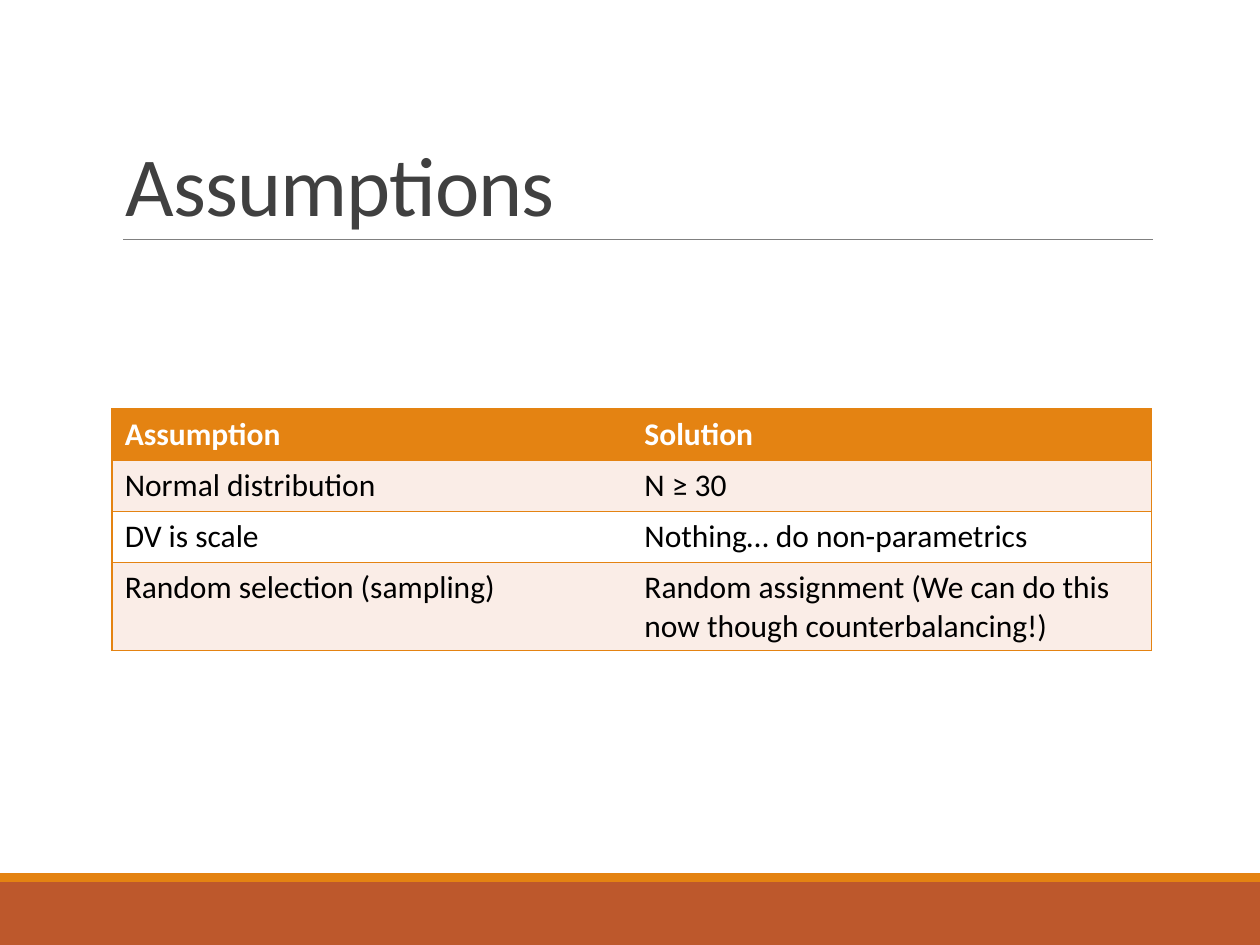
from lxml.etree import SubElement
from pptx import Presentation
from pptx.dml.color import RGBColor
from pptx.enum.shapes import MSO_CONNECTOR, MSO_SHAPE
from pptx.enum.text import MSO_ANCHOR
from pptx.oxml.ns import qn
from pptx.util import Pt

FONT = "Calibri"
COLORS = {
    "rust": "BD582C", "orange": "E48312", "rule": "808080", "title": "404040",
    "white": "FFFFFF", "black": "000000", "band": "FAEDE7",
}
ROWS = [
    ("Assumption", "Solution"),
    ("Normal distribution", "N ≥ 30"),
    ("DV is scale", "Nothing… do non-parametrics"),
    ("Random selection (sampling)",
     "Random assignment (We can do this now though counterbalancing!)"),
]


def color(name):
    return RGBColor.from_string(COLORS[name])


def style(para, size, name, bold=False):
    font = para.font
    font.name, font.size, font.bold = FONT, Pt(size), bold
    font.color.rgb = color(name)


def add_bar(slide, top, height, name):
    bar = slide.shapes.add_shape(
        MSO_SHAPE.RECTANGLE, 0, Pt(top), Pt(720), Pt(height))
    bar.shadow.inherit = False
    bar.fill.solid()
    bar.fill.fore_color.rgb = color(name)
    bar.line.fill.background()


def add_rule(slide, left, right, top):
    rule = slide.shapes.add_connector(
        MSO_CONNECTOR.STRAIGHT, Pt(left), Pt(top), Pt(right), Pt(top))
    rule.line.color.rgb = color("rule")
    rule.line.width = Pt(0.5)
    SubElement(rule._element.spPr, qn("a:effectLst"))


def add_title(slide, text):
    box = slide.shapes.add_textbox(Pt(64.8), Pt(22.3), Pt(594), Pt(114.5))
    frame = box.text_frame
    frame.word_wrap = True
    frame.vertical_anchor = MSO_ANCHOR.BOTTOM
    para = frame.paragraphs[0]
    run = para.add_run()
    run.text = text
    run.font._element.set("spc", "-50")
    para.line_spacing = 0.85
    style(para, 48, "title")


def set_edges(cell, shown):
    """Draw the shown sides in orange and clear the others."""
    props = cell._tc.get_or_add_tcPr()
    for side in "LRTB":
        edge = SubElement(props, qn("a:ln" + side), w=str(Pt(1)))
        if side in shown:
            fill = SubElement(edge, qn("a:solidFill"))
            SubElement(fill, qn("a:srgbClr"), val=COLORS["orange"])
        else:
            SubElement(edge, qn("a:noFill"))


def add_grid(slide, rows):
    high = 29.2
    grid = slide.shapes.add_table(
        len(rows), 2, Pt(64.1), Pt(233.8), Pt(594), Pt(high * len(rows))).table
    for r, row in enumerate(rows):
        grid.rows[r].height = Pt(high)
        head = r == 0
        back = "orange" if head else "band" if r % 2 else "white"
        for c, text in enumerate(row):
            cell = grid.cell(r, c)
            cell.text = text
            style(cell.text_frame.paragraphs[0], 18,
                  "white" if head else "black", head)
            set_edges(cell, "TB" + "LR"[c])
            cell.fill.solid()
            cell.fill.fore_color.rgb = color(back)


def main():
    deck = Presentation()
    deck.slide_width, deck.slide_height = Pt(720), Pt(540)
    slide = deck.slides.add_slide(deck.slide_layouts[6])
    add_bar(slide, 504, 36, "rust")
    add_bar(slide, 499, 5, "orange")
    add_rule(slide, 70.5, 658.8, 136.8)
    add_title(slide, "Assumptions")
    add_grid(slide, ROWS)
    deck.save("out.pptx")


if __name__ == "__main__":
    main()
